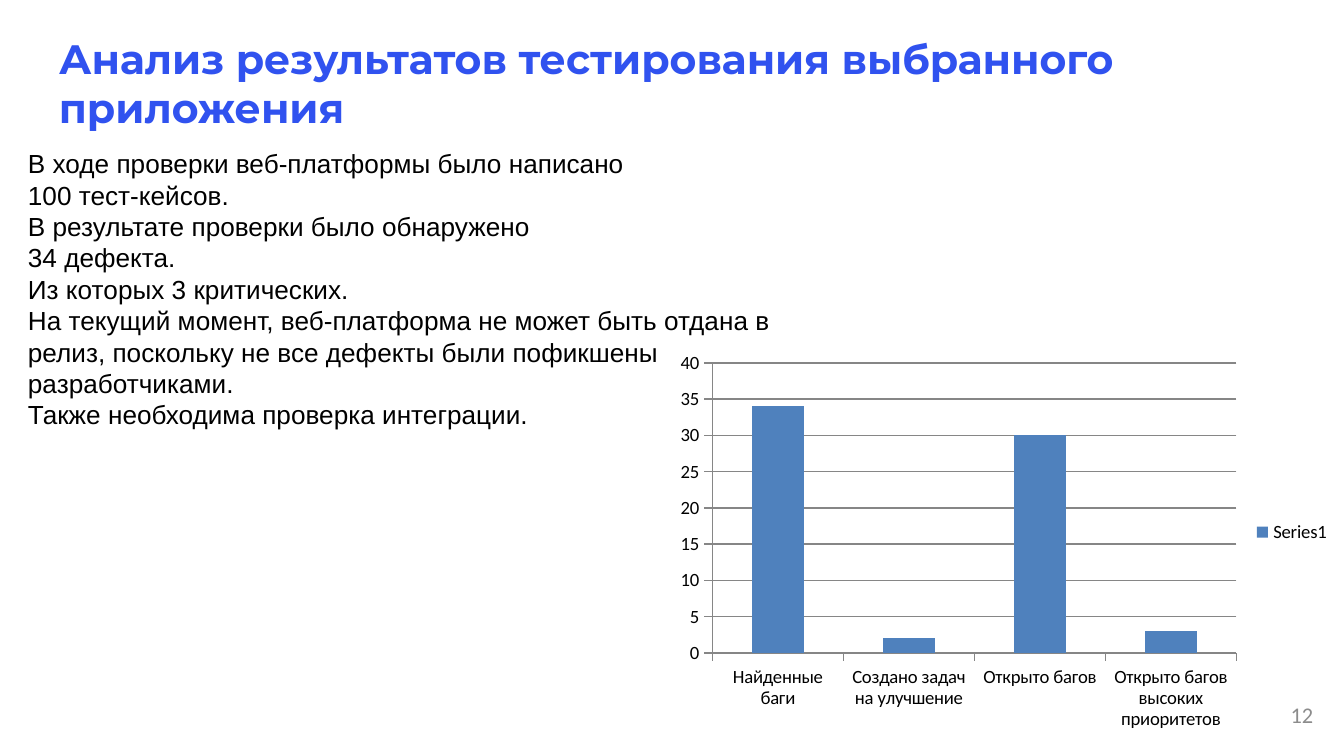
from dataclasses import dataclass

from lxml.etree import SubElement
from pptx import Presentation
from pptx.chart.data import CategoryChartData
from pptx.dml.color import RGBColor
from pptx.enum.chart import XL_CHART_TYPE, XL_LEGEND_POSITION, XL_TICK_MARK
from pptx.enum.text import MSO_ANCHOR, PP_ALIGN
from pptx.oxml.ns import qn
from pptx.util import Inches, Pt

COLORS = {
    "title": "3052EF",
    "text": "000000",
    "page": "8C8C8C",
    "bar": "4F81BD",
    "line": "868686",
}

BUGS = {
    "Найденные баги": 34,
    "Создано задач на улучшение": 2,
    "Открыто багов": 30,
    "Открыто багов высоких приоритетов": 3,
}


@dataclass
class TextBlock:
    left: float
    top: float
    width: float
    height: float
    lines: list[str]
    font: str
    size: int
    color: str
    bold: bool = False
    align: PP_ALIGN = PP_ALIGN.LEFT
    anchor: MSO_ANCHOR = MSO_ANCHOR.TOP
    inset_y: float = 0.1


TEXT_BLOCKS = [
    TextBlock(0.34, 0.15, 9.32, 0.63,
              ["Анализ результатов тестирования выбранного приложения"],
              "Montserrat", 22, "title", bold=True),
    TextBlock(9.27, 5.1, 0.6, 0.43, ["12"], "Calibri", 12, "page",
              align=PP_ALIGN.RIGHT, anchor=MSO_ANCHOR.MIDDLE),
]

FINDINGS = TextBlock(
    0.11, 1.05, 5.77, 2.22,
    [
        "В ходе проверки веб-платформы было написано",
        "100 тест-кейсов.",
        "В результате проверки было обнаружено",
        "34 дефекта.",
        "Из которых 3 критических.",
        "На текущий момент, веб-платформа не может быть отдана в релиз, "
        "поскольку не все дефекты были пофикшены разработчиками.",
        "Также необходима проверка интеграции.",
    ],
    "Arial", 14, "text", inset_y=0.05)


def rgb(name: str) -> RGBColor:
    return RGBColor.from_string(COLORS[name])


def add_text(slide, block: TextBlock) -> None:
    box = slide.shapes.add_textbox(Inches(block.left), Inches(block.top),
                                   Inches(block.width), Inches(block.height))
    frame = box.text_frame
    frame.word_wrap = True
    frame.vertical_anchor = block.anchor
    frame.margin_left = frame.margin_right = Inches(0.1)
    frame.margin_top = frame.margin_bottom = Inches(block.inset_y)
    for index, line in enumerate(block.lines):
        paragraph = frame.add_paragraph() if index else frame.paragraphs[0]
        paragraph.text = line
        paragraph.alignment = block.align
        font = paragraph.font
        font.name = block.font
        font.size = Pt(block.size)
        font.bold = block.bold
        font.color.rgb = rgb(block.color)


def place_plot(chart, x: float, y: float, width: float, height: float) -> None:
    """Fix the inner plot area, in fractions of the chart's size."""
    plot_area = chart.plots[0]._element.getparent()
    layout = plot_area.find(qn("c:layout"))
    if layout is None:
        layout = SubElement(plot_area, qn("c:layout"))
        plot_area.insert(0, layout)
    manual = SubElement(layout, qn("c:manualLayout"))
    settings = {"layoutTarget": "inner", "xMode": "edge", "yMode": "edge",
                "x": x, "y": y, "w": width, "h": height}
    for tag, value in settings.items():
        SubElement(manual, qn(f"c:{tag}")).set("val", str(value))


def add_bug_chart(slide) -> None:
    data = CategoryChartData()
    data.categories = list(BUGS)
    data.add_series("Series1", list(BUGS.values()))
    chart = slide.shapes.add_chart(XL_CHART_TYPE.COLUMN_CLUSTERED, Inches(5), Inches(2.46),
                                   Inches(5), Inches(3), data).chart
    chart.has_title = False
    chart.font.name = "Calibri"
    chart.font.size = Pt(10)
    chart.font.color.rgb = rgb("text")
    chart.has_legend = True
    chart.legend.position = XL_LEGEND_POSITION.RIGHT
    chart.legend.include_in_layout = False

    plot = chart.plots[0]
    plot.vary_by_categories = False
    plot.gap_width = 150
    fill = plot.series[0].format.fill
    fill.solid()
    fill.fore_color.rgb = rgb("bar")

    value_axis = chart.value_axis
    value_axis.minimum_scale = 0
    value_axis.maximum_scale = 40
    value_axis.major_unit = 5
    value_axis.has_major_gridlines = True
    for axis in (chart.category_axis, value_axis):
        axis.major_tick_mark = XL_TICK_MARK.OUTSIDE
        axis.format.line.color.rgb = rgb("line")
        axis.format.line.width = Pt(0.75)
    gridline = value_axis.major_gridlines.format.line
    gridline.color.rgb = rgb("line")
    gridline.width = Pt(0.75)
    place_plot(chart, 0.06, 0.08, 0.78, 0.72)


def main() -> None:
    presentation = Presentation()
    presentation.slide_width = Inches(10)
    presentation.slide_height = presentation.slide_width * 9 // 16
    slide = presentation.slides.add_slide(presentation.slide_layouts[6])
    for block in TEXT_BLOCKS:
        add_text(slide, block)
    add_bug_chart(slide)
    add_text(slide, FINDINGS)
    presentation.save("out.pptx")


if __name__ == "__main__":
    main()
